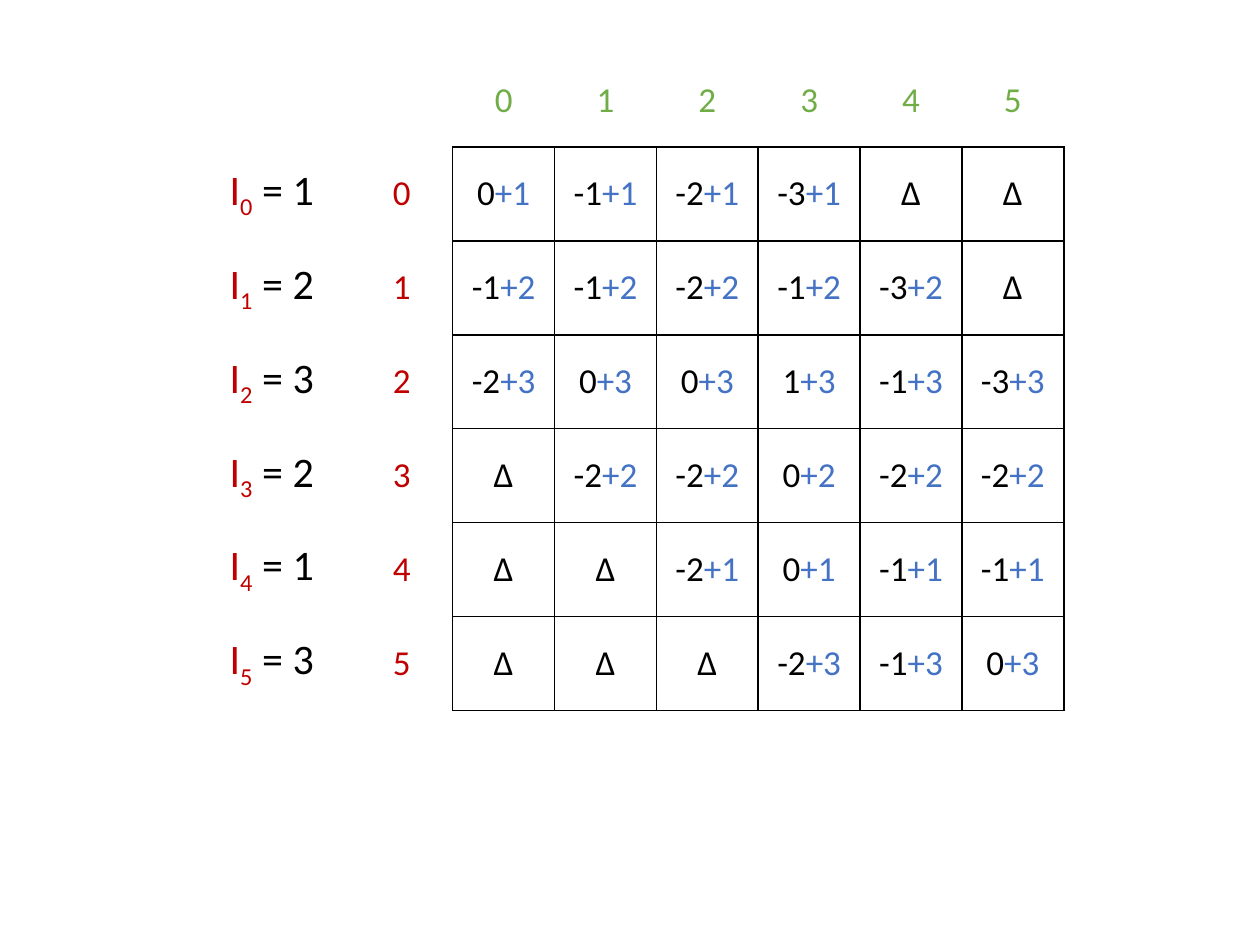
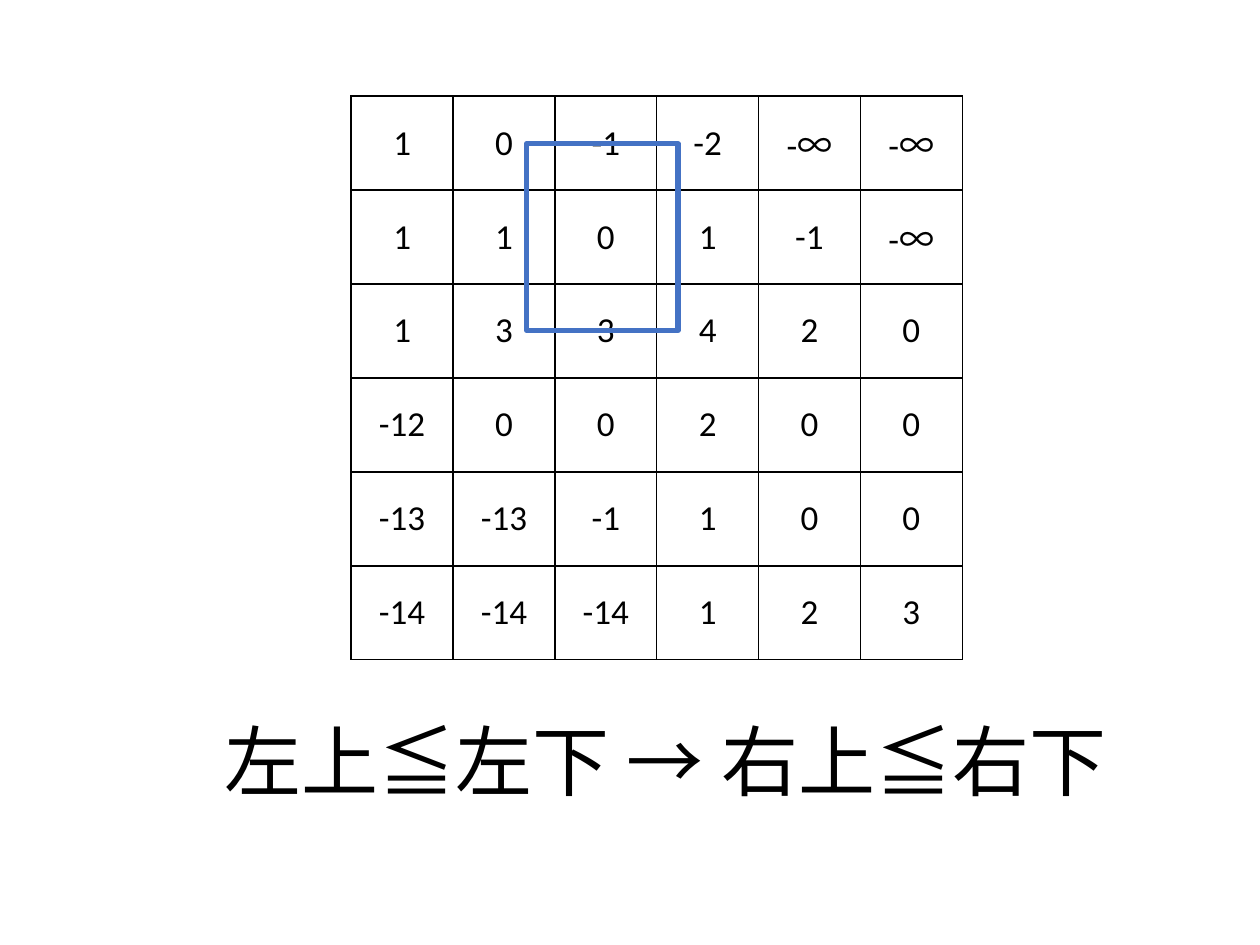
from dataclasses import dataclass

from lxml import etree
from pptx import Presentation
from pptx.dml.color import RGBColor
from pptx.enum.shapes import MSO_SHAPE
from pptx.enum.text import MSO_ANCHOR, MSO_AUTO_SIZE, PP_ALIGN
from pptx.oxml.ns import qn
from pptx.util import Cm, Pt

CENTER = PP_ALIGN.CENTER
MIDDLE = MSO_ANCHOR.MIDDLE
FIT_SHAPE = MSO_AUTO_SIZE.SHAPE_TO_FIT_TEXT
RECTANGLE = MSO_SHAPE.RECTANGLE

BLACK, WHITE, RED = "000000", "FFFFFF", "C00000"
GREEN, BLUE = "70AD47", "4472C4"
LATIN, SYMBOL, CHINESE = "Calibri", "Noto Sans CJK TC", "Noto Sans CJK SC"

GRID_SIZE = 6
CELL_WIDTH = Cm(12.32) // GRID_SIZE
CELL_HEIGHT = Cm(11.36) // GRID_SIZE

ITEM_VALUES = [1, 2, 3, 2, 1, 3]
SCORES = """
0 -1 -2 -3 ∆ ∆
-1 -1 -2 -1 -3 ∆
-2 0 0 1 -1 -3
∆ -2 -2 0 -2 -2
∆ ∆ -2 0 -1 -1
∆ ∆ ∆ -2 -1 0
"""
TOTALS = """
1 0 -1 -2 -∞ -∞
1 1 0 1 -1 -∞
1 3 3 4 2 0
-12 0 0 2 0 0
-13 -13 -1 1 0 0
-14 -14 -14 1 2 3
"""


@dataclass
class Span:
    text: str
    color: str = BLACK
    size: float = 20
    font: str = LATIN
    subscript: bool = False


@dataclass
class CellContent:
    """Text of a cell and its border colours by side; a missing side has no line."""
    spans: list[Span]
    borders: dict[str, str]


BOXED = dict.fromkeys("LRTB", BLACK)
ROW_HEAD = {"T": WHITE, "R": BLACK, "B": WHITE}
COLUMN_HEAD = {"L": WHITE, "R": WHITE, "T": WHITE, "B": BLACK}
CORNER = {"T": WHITE, "R": WHITE, "B": WHITE}


def rgb(color: str) -> RGBColor:
    return RGBColor.from_string(color)


def write(frame, spans: list[Span]) -> None:
    para = frame.paragraphs[0]
    para.alignment = CENTER
    for span in spans:
        run = para.add_run()
        run.text = span.text
        formats = {"size": Pt(span.size), "name": span.font}
        for name, value in formats.items():
            setattr(run.font, name, value)
        run.font.color.rgb = rgb(span.color)
        properties = run._r.get_or_add_rPr()
        etree.SubElement(properties, qn("a:ea"), typeface=span.font)
        if span.subscript:
            properties.set("baseline", "-25000")


def set_borders(cell, borders: dict[str, str]) -> None:
    properties = cell._tc.get_or_add_tcPr()
    for side in "LRTB":
        line = etree.SubElement(properties, qn(f"a:ln{side}"), w=str(Pt(1)))
        if side in borders:
            fill = etree.SubElement(line, qn("a:solidFill"))
            etree.SubElement(fill, qn("a:srgbClr"), val=borders[side])
        else:
            etree.SubElement(line, qn("a:noFill"))


def add_grid(page, left: int, top: int, widths: list[int],
             rows: list[list[CellContent]]) -> None:
    table = page.shapes.add_table(len(rows), len(widths), left, top, sum(widths),
                                  CELL_HEIGHT * len(rows)).table
    for name in ("first_row", "horz_banding"):
        setattr(table, name, False)
    for column, width in zip(table.columns, widths):
        column.width = width
    for row_index, row in enumerate(rows):
        table.rows[row_index].height = CELL_HEIGHT
        for column_index, content in enumerate(row):
            cell = table.cell(row_index, column_index)
            cell.vertical_anchor = MIDDLE
            set_borders(cell, content.borders)
            cell.fill.background()
            write(cell.text_frame, content.spans)


def parse_grid(text: str) -> list[list[str]]:
    return [line.split() for line in text.strip().splitlines()]


def score_cell(score: str, item: int) -> CellContent:
    spans = [Span(score)]
    if score != "∆":
        spans.append(Span(f"+{item}", BLUE))
    return CellContent(spans, BOXED)


def total_cell(total: str) -> CellContent:
    if total.endswith("∞"):
        return CellContent([Span("-"), Span("∞", font=SYMBOL)], BOXED)
    return CellContent([Span(total)], BOXED)


def item_cell(index: int, item: int) -> CellContent:
    return CellContent([Span("I", RED, 24), Span(str(index), RED, 24, subscript=True),
                        Span(f" = {item}", size=24)], {})


def build_scores(page) -> None:
    empty = CellContent([], {})
    rows = [[empty] * 3 + [CellContent([], CORNER)]
            + [CellContent([Span(str(i), GREEN)], COLUMN_HEAD) for i in range(GRID_SIZE)]]
    for index, (scores, item) in enumerate(zip(parse_grid(SCORES), ITEM_VALUES)):
        head = CellContent([Span(str(index), RED)], ROW_HEAD)
        rows.append([empty, empty, item_cell(index, item), head]
                    + [score_cell(score, item) for score in scores])
    widths = [CELL_WIDTH, Cm(0.9), Cm(3.19)] + [CELL_WIDTH] * (GRID_SIZE + 1)
    add_grid(page, Cm(0.93), Cm(1.07), widths, rows)


def build_totals(page) -> None:
    rows = [[total_cell(total) for total in row] for row in parse_grid(TOTALS)]
    add_grid(page, Cm(7.08), Cm(1.94), [CELL_WIDTH] * GRID_SIZE, rows)

    box = page.shapes.add_textbox(Cm(3.76), Cm(14.25), Cm(19.33), Cm(2.13))
    for name, value in {"word_wrap": False, "auto_size": FIT_SHAPE}.items():
        setattr(box.text_frame, name, value)
    write(box.text_frame, [Span("左上≦左下 → 右上≦右下", size=44, font=CHINESE)])

    window = page.shapes.add_shape(RECTANGLE, Cm(10.62), Cm(2.9), Cm(3.05), Cm(3.76))
    window.shadow.inherit = False
    window.fill.background()
    window.line.color.rgb = rgb(BLUE)
    window.line.width = Pt(3)


def main() -> None:
    deck = Presentation()
    deck.slide_width, deck.slide_height = Cm(25.4), Cm(19.05)
    for build in (build_scores, build_totals):
        build(deck.slides.add_slide(deck.slide_layouts[6]))
    deck.save("out.pptx")


if __name__ == "__main__":
    main()
